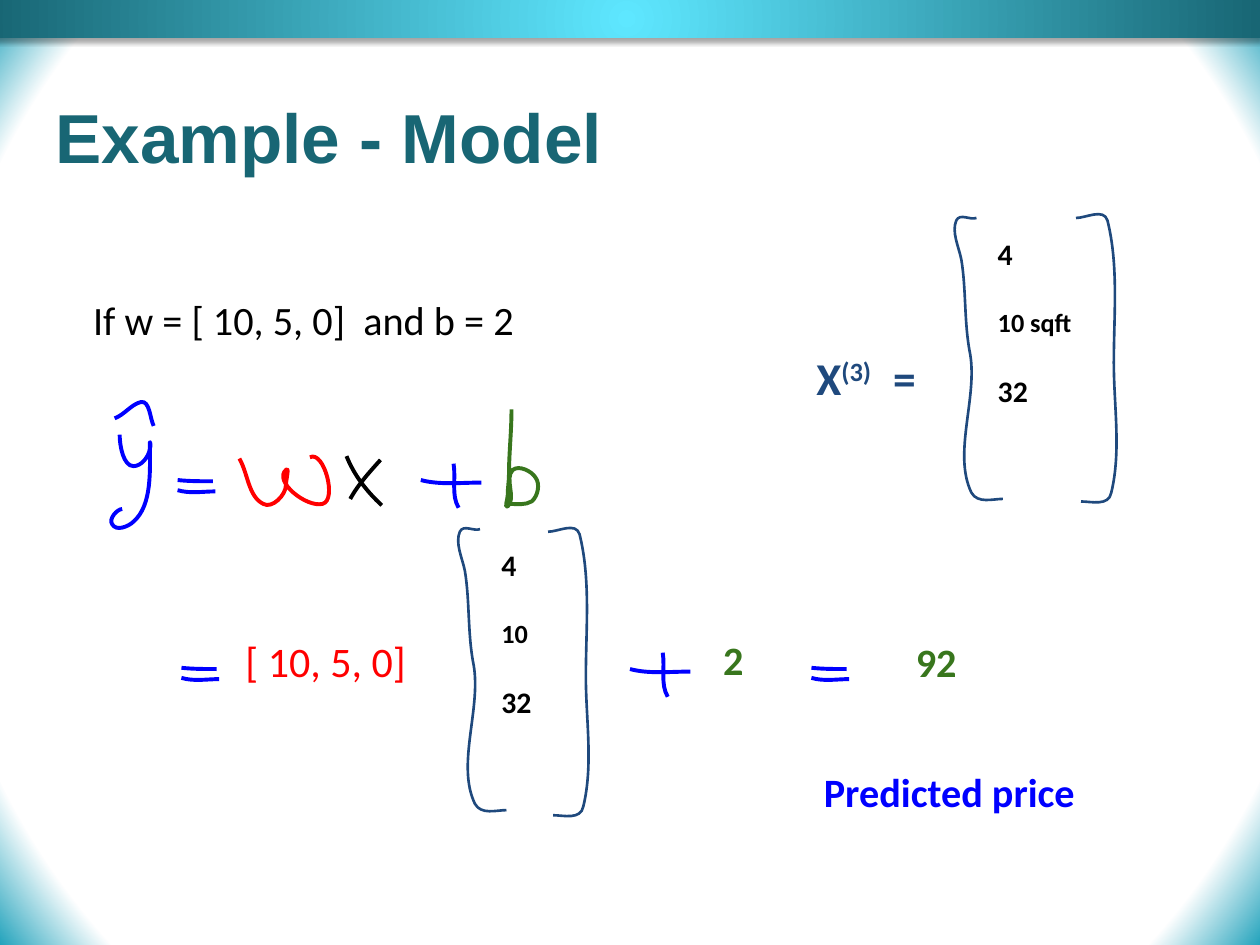
import pptx
import pptx.util
import pptx.dml.color
import pptx.enum.shapes
import pptx.enum.text
import pptx.oxml
import pptx.oxml.ns

rgb = pptx.dml.color.RGBColor.from_string
Inches = pptx.util.Inches
Pt = pptx.util.Pt
tag = pptx.oxml.ns.qn
ns = pptx.oxml.ns.nsdecls("a")
NAVY, BLUE, RED, GREEN, BLACK = "1F497D", "0000FF", "FF0000", "38761D", "000000"
TEAL = "186674"

deck = pptx.Presentation()
deck.slide_width, deck.slide_height = Inches(10), Inches(7.5)
slide = deck.slides.add_slide(deck.slide_layouts[5])


def text(words, at, box=None, size=23, hue=BLACK, face="Calibri", bold=False, gap=0):
    box = box or slide.shapes.add_textbox(0, 0, 0, 0)
    box.left, box.top, box.width, box.height = [Inches(n) for n in at]
    frame = box.text_frame
    frame.word_wrap = True
    frame.vertical_anchor = pptx.enum.text.MSO_ANCHOR.TOP
    frame.margin_left = frame.margin_right = Inches(0.1)
    frame.margin_top = frame.margin_bottom = Inches(0.1)
    for i, row in enumerate(words.split("\n")):
        para = frame.add_paragraph() if i else frame.paragraphs[0]
        para.alignment = pptx.enum.text.PP_ALIGN.LEFT
        if i:
            para.space_before = Pt(gap)
        for k, part in enumerate(row.split("^")):
            run = para.add_run()
            run.text = part
            run.font.size, run.font.name, run.font.bold = Pt(size), face, bold
            run.font.color.rgb = rgb(hue)
            if k % 2:
                run.font._element.set("baseline", "30000")
    return frame


def stroke(nodes, hue=BLUE, width=2.25, dx=0, dy=0):
    nums = [float(n) for n in nodes.split()]
    dots = [(Inches(x + dx), Inches(y + dy)) for x, y in zip(nums[::2], nums[1::2])]
    pen = slide.shapes.build_freeform(*dots[0])
    pen.add_line_segments(dots[3::3], close=False)
    shape = pen.convert_to_shape()
    for i, line in enumerate(list(shape._element.iter(tag("a:lnTo")))):
        points = "".join(f'<a:pt x="{x - shape.left}" y="{y - shape.top}"/>'
                         for x, y in dots[3 * i + 1:3 * i + 4])
        line.getparent().replace(line, pptx.oxml.parse_xml(
            f"<a:cubicBezTo {ns}>{points}</a:cubicBezTo>"))
    shape.shadow.inherit = False
    shape.fill.background()
    shape.line.color.rgb = rgb(hue)
    shape.line.width = Pt(width)


bar = slide.shapes.add_shape(pptx.enum.shapes.MSO_SHAPE.RECTANGLE,
                             Inches(-0.05), 0, Inches(10.05), Inches(0.3))
bar.line.fill.background()
bar.shadow.inherit = False
bar._element.spPr.find(tag("a:effectLst")).append(pptx.oxml.parse_xml(
    f'<a:outerShdw {ns} blurRad="40000" dist="23000" dir="5400000" rotWithShape="0">'
    '<a:srgbClr val="000000"><a:alpha val="35000"/></a:srgbClr></a:outerShdw>'))

for fill, root, stops in (
    (slide.background.fill, slide.background._cSld, ((0.89, "FFFFFF"), (1, "23A3BC"))),
    (bar.fill, bar._element.spPr, ((0, "5EE7FF"), (1, TEAL))),
):
    fill.gradient()
    for stop, (spot, hue) in zip(fill.gradient_stops, stops):
        stop.position = spot
        stop.color.rgb = rgb(hue)
    line = next(root.iter(tag("a:lin")))
    line.getparent().replace(line, pptx.oxml.parse_xml(
        f'<a:path {ns} path="circle">'
        '<a:fillToRect l="50000" t="50000" r="50000" b="50000"/></a:path>'))

text("Example - Model", (0.34, 0.65, 9.32, 0.84), box=slide.shapes.title,
     size=39.6, hue=TEAL, face="Arial", bold=True)
text("If w = [ 10, 5, 0]  and b = 2", (0.64, 2.24, 5.62, 1.75))
label = text("X^(3)  ^ =", (6.38, 2.61, 3.28, 0.69), size=26, hue=NAVY, bold=True)
label.paragraphs[0].line_spacing = 1.15
label.paragraphs[0].space_after = Pt(12)

left = ("7.75 1.73 7.7 1.75 7.62 1.69 7.59 1.75 7.55 1.84 7.61 1.96 7.63 2.06 "
        "7.67 2.3 7.65 2.56 7.7 2.81 7.76 3.16 7.56 3.6 7.71 3.91 7.76 4 7.88 3.96 7.96 3.96")
right = ("8.54 1.73 8.62 1.73 8.76 1.65 8.79 1.75 8.88 2.11 8.84 2.5 8.84 2.88 "
         "8.84 3.22 8.9 3.58 8.82 3.91 8.8 4.02 8.66 3.98 8.58 3.98")
for area, x, y, near, far in (
    ("10 sqft", 7.82, 1.77, (0, 0), (0, 0)),
    ("10", 3.88, 4.24, (-3.94, 2.47), (-4.19, 2.49)),
):
    stroke(left, NAVY, 1.5, *near)
    stroke(right, NAVY, 1.5, *far)
    cells = text(f"4\n{area}\n32", (x, y, 1.12, 1.9), size=17, bold=True, gap=20)
    cells.paragraphs[1].runs[0].font.size = Pt(15)

for nodes, hue in (
    ("0.91 3.32 0.99 3.29 1.04 3.21 1.12 3.19 1.19 3.18 1.19 3.32 1.22 3.38", BLUE),
    ("0.95 3.45 0.95 3.54 0.98 3.7 1.06 3.7 1.12 3.7 1.18 3.63 1.19 3.56 "
     "1.2 3.54 1.19 3.5 1.19 3.51 1.19 3.73 1.21 4.01 1.06 4.14 "
     "1.02 4.18 0.92 4.22 0.89 4.16 0.86 4.12 0.93 4.04 0.97 4.04", BLUE),
    ("1.9 3.64 1.97 3.76 1.97 3.94 2.09 4 2.16 4.04 2.27 3.93 2.27 3.85 "
     "2.27 3.81 2.3 3.7 2.27 3.73 2.17 3.82 2.43 4.03 2.56 4 2.68 3.97 2.57 3.57 2.46 3.63", RED),
    ("2.75 3.62 2.81 3.77 2.91 3.9 3.03 4.01", BLACK),
    ("3.02 3.65 2.93 3.75 2.84 3.85 2.78 3.96", BLACK),
    ("4.06 3.25 4.06 3.43 4.04 3.6 4.04 3.77 4.04 3.82 4.03 3.87 4.03 3.93 "
     "4.03 3.96 4 4.04 4.03 4.02 4.1 3.95 4 3.8 4.07 3.73 4.12 3.69 4.22 3.74 4.25 3.79 "
     "4.29 3.84 4.27 3.94 4.22 3.98 4.17 4.01 4.11 4 4.05 4 4.04 4 4.02 4 4.02 3.99", GREEN),
):
    stroke(nodes, hue)

for shift, drop in ((0, 0), (0.03, 1.49), (5.03, 1.49)):
    stroke("1.41 3.81 1.5 3.82 1.6 3.82 1.69 3.82", dx=shift, dy=drop)
    stroke("1.41 3.89 1.51 3.92 1.61 3.9 1.71 3.9", dx=shift, dy=drop)
for shift, drop in ((0, 0), (1.66, 1.5)):
    stroke("3.34 3.81 3.49 3.85 3.66 3.83 3.82 3.83", dx=shift, dy=drop)
    stroke("3.6 3.68 3.62 3.8 3.58 3.93 3.64 4.03", dx=shift, dy=drop)

text("[ 10, 5, 0]", (1.85, 4.94, 1.64, 0.61), size=24, hue=RED)
text("2", (5.64, 4.94, 0.56, 0.59), hue=GREEN, bold=True)
text("92", (7.17, 4.96, 0.56, 0.59), hue=GREEN, bold=True)
text("Predicted price", (6.44, 5.99, 3.96, 0.59), hue=BLUE, bold=True)

deck.save("out.pptx")
